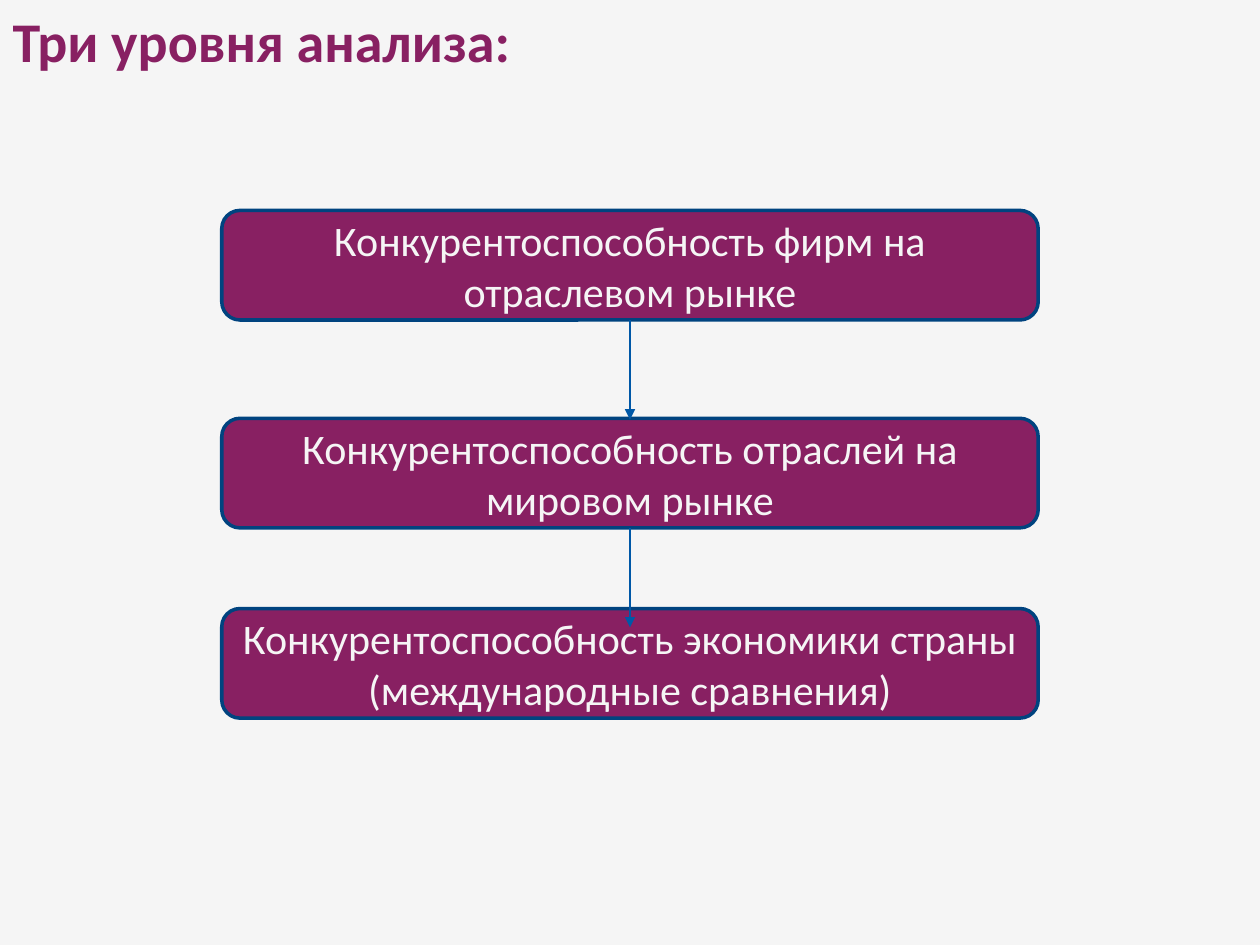
from dataclasses import dataclass

from lxml import etree
from pptx import Presentation
from pptx.dml.color import RGBColor
from pptx.enum.shapes import MSO_CONNECTOR, MSO_SHAPE
from pptx.enum.text import MSO_ANCHOR, MSO_AUTO_SIZE, PP_ALIGN
from pptx.oxml.ns import qn
from pptx.util import Inches, Pt

ROUNDED = MSO_SHAPE.ROUNDED_RECTANGLE
STRAIGHT = MSO_CONNECTOR.STRAIGHT
TOP, MIDDLE = MSO_ANCHOR.TOP, MSO_ANCHOR.MIDDLE
LEFT, CENTER = PP_ALIGN.LEFT, PP_ALIGN.CENTER
NO_AUTOFIT = MSO_AUTO_SIZE.NONE
TITLE_ONLY = 5


@dataclass(frozen=True)
class Theme:
    font: str = "Calibri"
    background: RGBColor = RGBColor(0xF5, 0xF5, 0xF5)
    accent: RGBColor = RGBColor(0x88, 0x20, 0x62)
    border: RGBColor = RGBColor(0x00, 0x43, 0x7F)
    arrow: RGBColor = RGBColor(0x00, 0x58, 0xA7)
    title_size: Pt = Pt(32)
    level_size: Pt = Pt(24)
    space_before: Pt = Pt(6.4)
    border_width: Pt = Pt(2)
    arrow_width: Pt = Pt(0.75)


THEME = Theme()
TITLE = "Три уровня анализа:"
LEVELS = [
    (1.67, "Конкурентоспособность фирм на отраслевом рынке"),
    (3.32, "Конкурентоспособность отраслей на мировом рынке"),
    (4.83, "Конкурентоспособность экономики страны (международные сравнения)"),
]
LEVEL_HEIGHT = Inches(0.87)
ARROW_LENGTH = Inches(0.79)


def write_text(frame, text, size, color, alignment, anchor, bold=False):
    frame.word_wrap = True
    frame.auto_size = NO_AUTOFIT
    frame.vertical_anchor = anchor
    paragraph = frame.paragraphs[0]
    paragraph.text = text
    paragraph.alignment = alignment
    paragraph.space_before = THEME.space_before
    paragraph.font.name = THEME.font
    paragraph.font.size = size
    paragraph.font.bold = bold
    paragraph.font.color.rgb = color


def place_title(slide, left, top, width, height):
    title = slide.shapes.title
    title.left, title.top, title.width, title.height = left, top, width, height
    frame = title.text_frame
    frame.margin_left, frame.margin_top = Inches(0.1), Inches(0.05)
    frame.margin_right = frame.margin_bottom = 0
    write_text(frame, TITLE, THEME.title_size, THEME.accent, LEFT, TOP, bold=True)


def add_level(slide, text, left, top, width, height):
    shape = slide.shapes.add_shape(ROUNDED, left, top, width, height)
    shape.shadow.inherit = False
    shape.fill.solid()
    shape.fill.fore_color.rgb = THEME.accent
    shape.line.color.rgb = THEME.border
    shape.line.width = THEME.border_width
    write_text(shape.text_frame, text, THEME.level_size, THEME.background, CENTER, MIDDLE)


def add_arrow(slide, center, top, length):
    connector = slide.shapes.add_connector(STRAIGHT, center, top, center, top + length)
    connector.line.color.rgb = THEME.arrow
    connector.line.width = THEME.arrow_width
    properties = connector.element.spPr
    etree.SubElement(properties.find(qn("a:ln")), qn("a:tailEnd"), type="triangle")
    etree.SubElement(properties, qn("a:effectLst"))


def add_level_chain(slide, left, width):
    tops = [Inches(top) for top, _ in LEVELS]
    for top, (_, text) in zip(tops, LEVELS):
        add_level(slide, text, left, top, width, LEVEL_HEIGHT)
    for top in tops[:-1]:
        add_arrow(slide, left + width // 2, top + LEVEL_HEIGHT, ARROW_LENGTH)


def main():
    presentation = Presentation()
    presentation.slide_width, presentation.slide_height = Inches(10), Inches(7.5)
    slide = presentation.slides.add_slide(presentation.slide_layouts[TITLE_ONLY])
    slide.background.fill.solid()
    slide.background.fill.fore_color.rgb = THEME.background

    slide_width = presentation.slide_width
    level_width = Inches(6.48)
    place_title(slide, 0, 0, slide_width, Inches(0.68))
    add_level_chain(slide, (slide_width - level_width) // 2, level_width)
    presentation.save("out.pptx")


if __name__ == "__main__":
    main()
